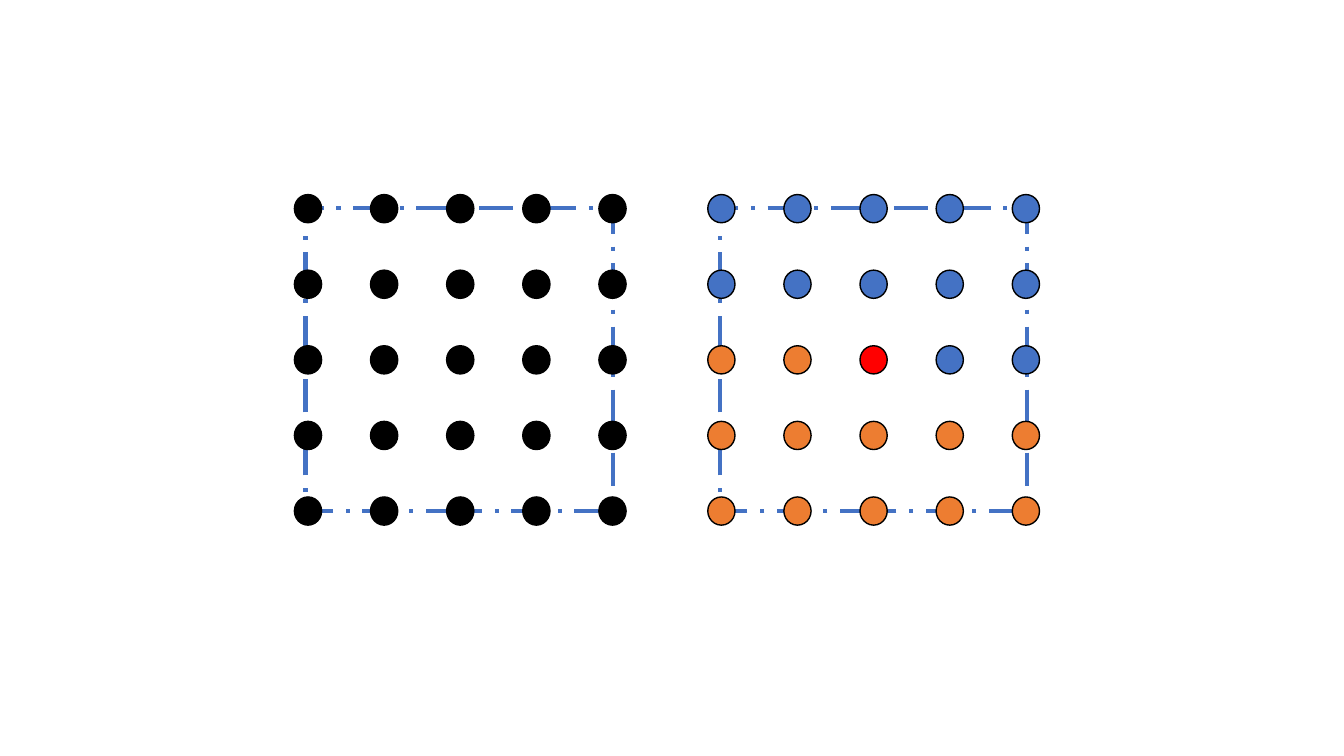
from pptx import Presentation
from pptx import util as u
from pptx.dml.color import RGBColor
from pptx.enum import dml, shapes

COLORS = {"blue": "4472C4", "orange": "ED7D31", "red": "FF0000", "black": "000000"}
CODES = {"B": "blue", "O": "orange", "R": "red", "K": "black"}
PLAIN_ROWS = ["KKKKK"] * 5
SPLIT_ROWS = ["BBBBB", "BBBBB", "OORBB", "OOOOO", "OOOOO"]
GRID_TOP = 1.93
GRID_WIDTH, GRID_HEIGHT = 3.02, 3.0
DOT_WIDTH, DOT_HEIGHT = 0.27, 0.28


def add_outlined(page, kind, left, top, width, height, color, weight):
    """Add a shadowless preset shape with the given outline."""
    shape = page.shapes.add_shape(
        kind, u.Inches(left), u.Inches(top), u.Inches(width), u.Inches(height)
    )
    shape.shadow.inherit = False
    shape.line.color.rgb = RGBColor.from_string(COLORS[color])
    shape.line.width = u.Pt(weight)
    return shape


def add_frame(page, left):
    """Add the dash-dotted frame behind a grid of dots."""
    frame = add_outlined(
        page, shapes.MSO_SHAPE.RECTANGLE, left, 2.06, 3.05, 3.01, "blue", 3
    )
    frame.fill.background()
    frame.line.dash_style = dml.MSO_LINE.LONG_DASH_DOT


def add_dots(page, left, rows):
    """Add a grid of dots coloured by the letters in rows."""
    column_step = GRID_WIDTH / (len(rows[0]) - 1)
    row_step = GRID_HEIGHT / (len(rows) - 1)
    for row, codes in enumerate(rows):
        for column, code in enumerate(codes):
            dot = add_outlined(
                page, shapes.MSO_SHAPE.OVAL,
                left + column * column_step, GRID_TOP + row * row_step,
                DOT_WIDTH, DOT_HEIGHT, "black", 1,
            )
            dot.fill.solid()
            dot.fill.fore_color.rgb = RGBColor.from_string(COLORS[CODES[code]])


def main():
    """Build the slide with a plain and a split grid of dots."""
    deck = Presentation()
    deck.slide_width, deck.slide_height = u.Inches(13.33), u.Inches(7.5)
    page = deck.slides.add_slide(deck.slide_layouts[6])
    for left in (7.14, 3.03):
        add_frame(page, left)
    add_dots(page, 7.02, SPLIT_ROWS)
    add_dots(page, 2.92, PLAIN_ROWS)
    deck.save("out.pptx")


if __name__ == "__main__":
    main()
